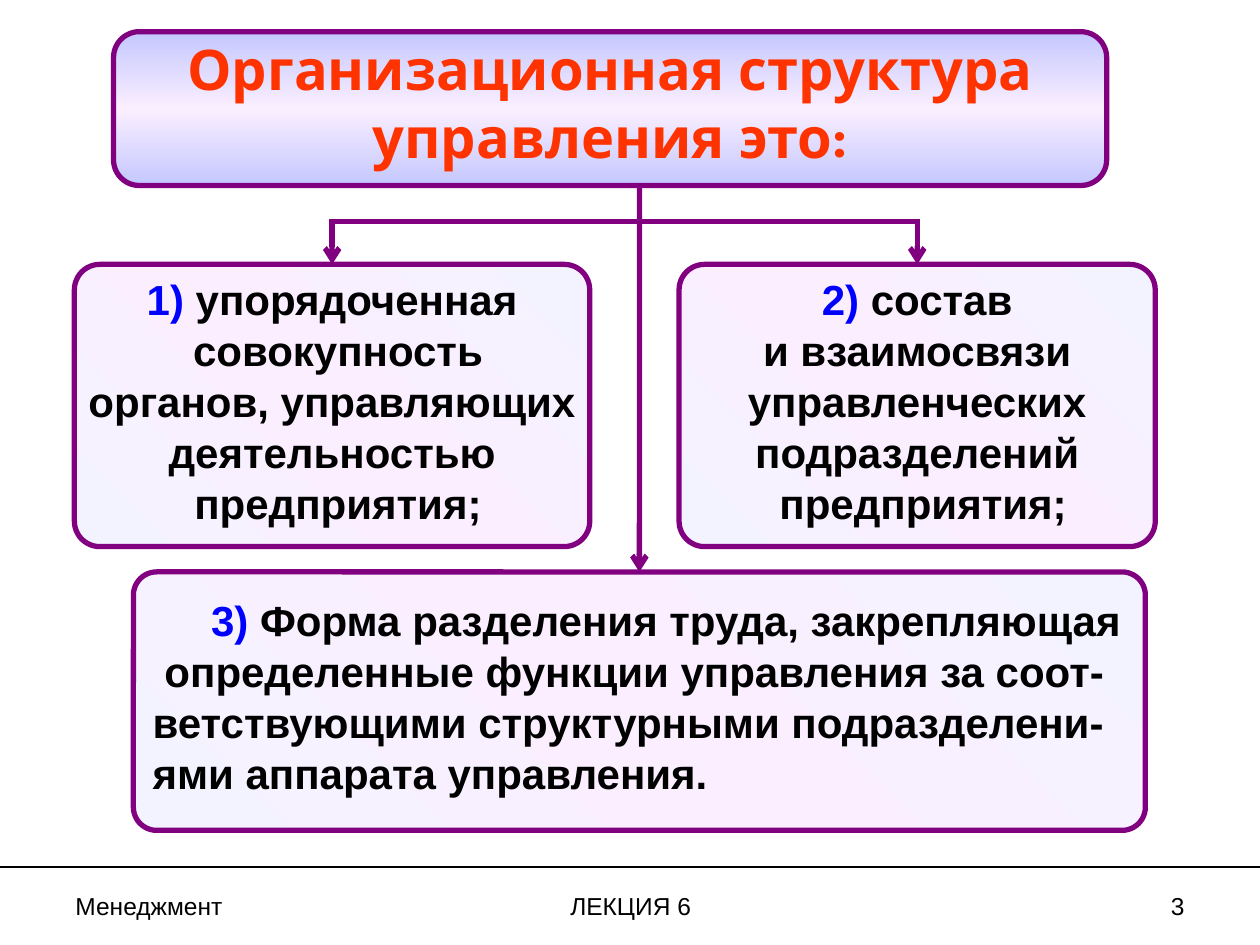
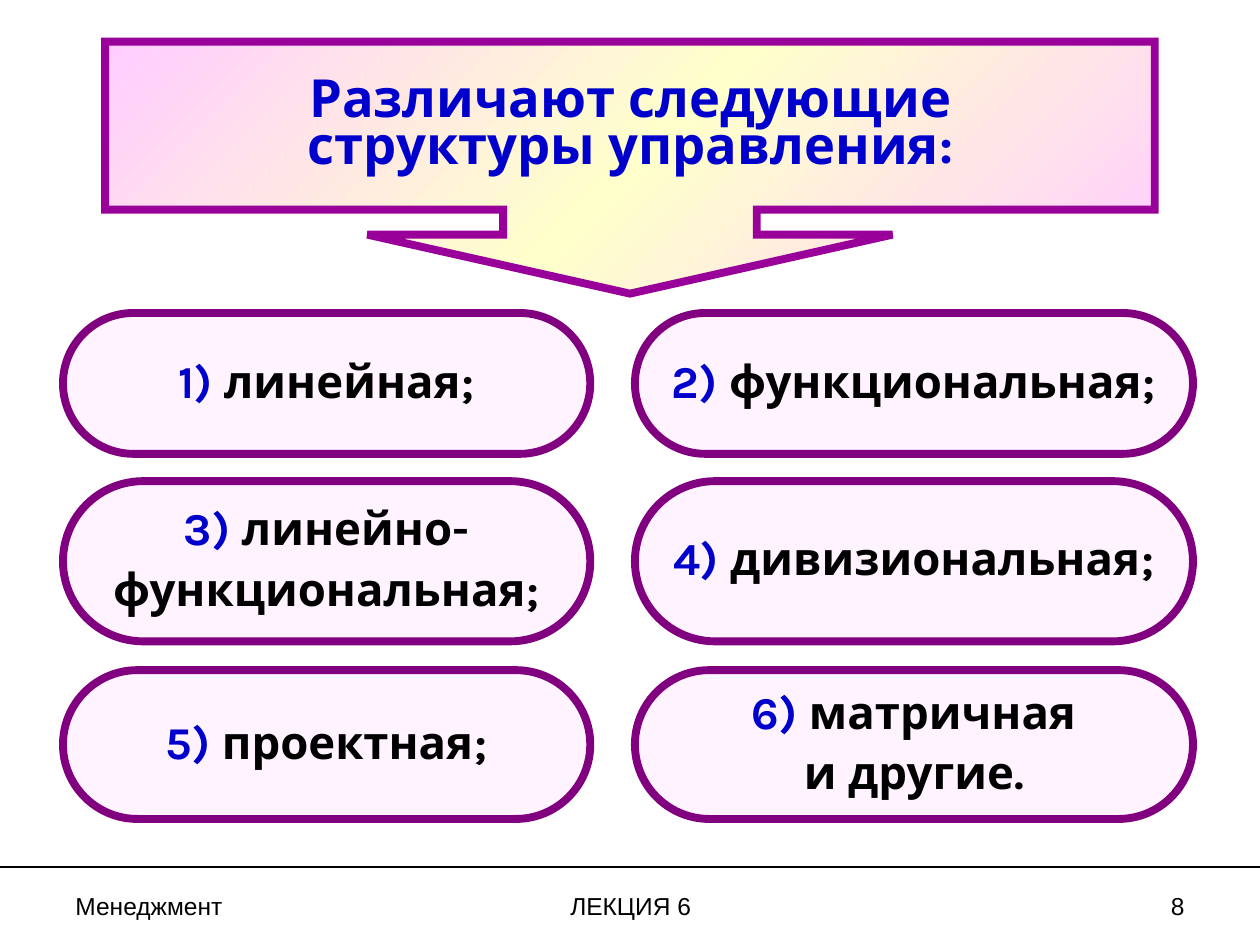
from copy import deepcopy
from dataclasses import dataclass
from typing import NamedTuple

from lxml.etree import SubElement
from pptx import Presentation
from pptx.dml.color import RGBColor
from pptx.enum.shapes import MSO_CONNECTOR, MSO_SHAPE
from pptx.enum.text import MSO_ANCHOR, MSO_AUTO_SIZE, PP_ALIGN
from pptx.oxml.ns import qn
from pptx.util import Cm, Pt


@dataclass(frozen=True)
class Theme:
    ink: str = "000000"
    purple: str = "800080"
    violet: str = "990099"
    red: str = "FF3300"
    bright_blue: str = "0000FF"
    deep_blue: str = "0000CC"
    pill_fill: str = "FFF3FF"
    heading_fill: tuple = ("C4C8FE", "FAEEFF", "C4C8FE")
    card_fill: tuple = ("F3F3FF", "FBEFFF", "F3F3FF")
    callout_fill: tuple = ("FFCDFF", "FFFFCC", "FFCDFF")
    thin: float = 1.5
    medium: float = 3
    thick: float = 4.5


@dataclass(frozen=True)
class TextStyle:
    font: str
    size: float
    color: str
    bold: bool = True
    align: PP_ALIGN = PP_ALIGN.CENTER
    spacing: float = 1.0
    gap: float = 0


THEME = Theme()
HEADING = TextStyle("Karla", 32, THEME.red, spacing=0.8, gap=8)
CALLOUT = TextStyle("Karla", 30, THEME.deep_blue, spacing=0.75)
CARD = TextStyle("Arial", 24, THEME.ink, spacing=0.8, gap=6)
WIDE_CARD = TextStyle("Arial", 24, THEME.ink, align=PP_ALIGN.LEFT, spacing=0.8, gap=6)
PILL = TextStyle("Karla", 26, THEME.ink, spacing=0.9, gap=6.5)


class Box(NamedTuple):
    """A region in centimetres."""
    left: float
    top: float
    width: float
    height: float

    def inside(self, left, top, width, height):
        return Box(self.left + left, self.top + top, width, height)

    def lengths(self):
        return [Cm(value) for value in self]

    @property
    def middle(self):
        return self.left + self.width / 2


class Line(NamedTuple):
    """One line of text, with an optional coloured number and indent."""
    words: str
    mark: str = ""
    indent: float = 0


# Formatting helpers

def color(code):
    return RGBColor.from_string(code)


def paint(fill, colors, angle):
    fill.gradient()
    fill.gradient_angle = angle
    first = fill.gradient_stops[0]._gs
    first.addnext(deepcopy(first))
    for stop, code, position in zip(fill.gradient_stops, colors, (0, 0.5, 1)):
        stop.color.rgb = color(code)
        stop.position = position


def outline(line, code, width, *arrow_ends):
    line.color.rgb = color(code)
    line.width = Pt(width)
    ln = line._get_or_add_ln()
    SubElement(ln, qn("a:miter"), lim="800000")
    for end in arrow_ends:
        SubElement(ln, qn(f"a:{end}"), type="arrow")


def write(frame, lines, style, mark_color=None, wrap=False,
          anchor=MSO_ANCHOR.MIDDLE):
    frame.word_wrap = wrap
    frame.auto_size = MSO_AUTO_SIZE.NONE
    frame.vertical_anchor = anchor
    for number, line in enumerate(lines):
        para = frame.add_paragraph() if number else frame.paragraphs[0]
        para.alignment = style.align
        para.line_spacing = style.spacing
        para.space_before = Pt(style.gap if number else 0)
        if line.indent:
            para._p.get_or_add_pPr().set("marL", str(Cm(line.indent)))
        font = para.font
        font.name, font.size, font.bold = style.font, Pt(style.size), style.bold
        font.color.rgb = color(style.color)
        if line.mark:
            span = para.add_run()
            span.text = line.mark + " "
            span.font.color.rgb = color(mark_color)
        para.add_run().text = line.words


def add_panel(page, kind, box, line_color, line_width, adjustments):
    panel = page.shapes.add_shape(kind, *box.lengths())
    panel.shadow.inherit = False
    for index, value in enumerate(adjustments):
        panel.adjustments[index] = value
    outline(panel.line, line_color, line_width)
    return panel


def add_straight(page, start, end, code, width, *arrow_ends):
    line = page.shapes.add_connector(
        MSO_CONNECTOR.STRAIGHT, *(Cm(value) for value in start + end))
    outline(line.line, code, width, *arrow_ends)
    SubElement(line._element.spPr, qn("a:effectLst"))
    return line


def place_title(page, box, lines, style, **options):
    title = page.shapes.title
    title.left, title.top, title.width, title.height = box.lengths()
    write(title.text_frame, lines, style, **options)
    # The title lies above its background panel
    title.element.getparent().append(title.element)


# Regions

def add_footer(page, box, number):
    add_straight(page, (box.left, box.top), (box.left + box.width, box.top),
                 THEME.ink, THEME.thin)
    parts = (
        ("Менеджмент", 1.27, 5.92, PP_ALIGN.LEFT),
        ("ЛЕКЦИЯ 6", 8.69, 8.05, PP_ALIGN.CENTER),
        (str(number), 18.21, 5.92, PP_ALIGN.RIGHT),
    )
    for words, left, width, align in parts:
        place = box.inside(left, 0.35, width, 0.86)
        label = page.shapes.add_textbox(*place.lengths())
        style = TextStyle("Arial", 14, THEME.ink, bold=False, align=align)
        write(label.text_frame, [Line(words)], style, wrap=True,
              anchor=MSO_ANCHOR.TOP)


def add_card(page, box, rounding, lines, style):
    card = add_panel(page, MSO_SHAPE.ROUNDED_RECTANGLE, box, THEME.purple,
                     THEME.medium, [rounding])
    paint(card.fill, THEME.card_fill, 45)
    write(card.text_frame, lines, style, THEME.bright_blue)
    return card


def add_definition(page, box):
    # Heading
    heading_box = box.inside(0.79, 0, 20.02, 3.1)
    heading = add_panel(page, MSO_SHAPE.ROUNDED_RECTANGLE, heading_box,
                        THEME.purple, THEME.medium, [0.167])
    paint(heading.fill, THEME.heading_fill, 90)
    place_title(page, heading_box, [Line("Организационная структура"),
                                    Line("управления это:")], HEADING)

    # Three parts of the definition
    left_box = box.inside(0, 4.69, 10.39, 5.69)
    right_box = box.inside(12.19, 4.69, 9.6, 5.69)
    bottom_box = box.inside(1.19, 10.89, 20.4, 5.21)
    add_card(page, left_box, 0.09, [
        Line("упорядоченная", "1)"),
        Line("совокупность", indent=0.24),
        Line("органов, управляющих"),
        Line("деятельностью"),
        Line("предприятия;", indent=0.24),
    ], CARD)
    add_card(page, right_box, 0.09, [
        Line("состав", "2)"),
        Line("и взаимосвязи"),
        Line("управленческих"),
        Line("подразделений"),
        Line("предприятия;", indent=0.24),
    ], CARD)
    bottom = add_card(page, bottom_box, 0.09, [
        Line("Форма разделения труда, закрепляющая", "3)", 1.18),
        Line("определенные функции управления за соот-", indent=0.24),
        Line("ветствующими структурными подразделени-"),
        Line("ями аппарата управления."),
    ], WIDE_CARD)

    # Arrows from the heading to the parts
    stem = add_straight(
        page, (bottom_box.middle, heading_box.top + heading_box.height),
        (bottom_box.middle, bottom_box.top),
        THEME.purple, THEME.medium, "tailEnd")
    stem.end_connect(bottom, 0)
    branch_top = box.top + 3.83
    start, *corners = [(Cm(x), Cm(y)) for x, y in (
        (left_box.middle, left_box.top), (left_box.middle, branch_top),
        (right_box.middle, branch_top), (right_box.middle, right_box.top))]
    builder = page.shapes.build_freeform(*start)
    builder.add_line_segments(corners, close=False)
    branch = builder.convert_to_shape()
    branch.shadow.inherit = False
    branch.fill.background()
    outline(branch.line, THEME.purple, THEME.medium, "headEnd", "tailEnd")


def add_structure_types(page, box):
    # Heading in an arrow callout
    callout = add_panel(page, MSO_SHAPE.DOWN_ARROW_CALLOUT,
                        box.inside(0.85, 0, 21.16, 5.08), THEME.violet,
                        THEME.thick, [1.007, 1.042, 0.234, 0.667])
    paint(callout.fill, THEME.callout_fill, 135)
    place_title(page, box.inside(1.7, 0.63, 19.48, 2.16),
                [Line("Различают следующие структуры управления:")],
                CALLOUT, wrap=True, anchor=MSO_ANCHOR.TOP)

    # Grid of structure types
    columns = ((0, 10.63), (11.53, 11.25))
    rows = ((5.47, 2.84), (8.86, 3.23), (12.67, 3))
    types = (
        ["линейная;"], ["функциональная;"],
        ["линейно-", "функциональная;"], ["дивизиональная;"],
        ["проектная;"], ["матричная", "и другие."],
    )
    for index, words in enumerate(types):
        top, height = rows[index // 2]
        left, width = columns[index % 2]
        pill = add_panel(page, MSO_SHAPE.ROUNDED_RECTANGLE,
                         box.inside(left, top, width, height),
                         THEME.purple, THEME.thick, [0.5])
        pill.fill.solid()
        pill.fill.fore_color.rgb = color(THEME.pill_fill)
        first, *rest = words
        lines = [Line(first, f"{index + 1})"), *map(Line, rest)]
        write(pill.text_frame, lines, PILL, THEME.deep_blue)


def main():
    deck = Presentation()
    deck.slide_width, deck.slide_height = Cm(25.4), Cm(19.05)
    title_only = deck.slide_layouts[5]
    pages = (
        (3, add_definition, Box(1.5, 0.64, 21.79, 16.1)),
        (8, add_structure_types, Box(1.27, 0.84, 22.78, 15.67)),
    )
    for number, add_content, box in pages:
        page = deck.slides.add_slide(title_only)
        add_footer(page, Box(0, 17.48, 25.4, 1.57), number)
        add_content(page, box)
    deck.save("out.pptx")


if __name__ == "__main__":
    main()
